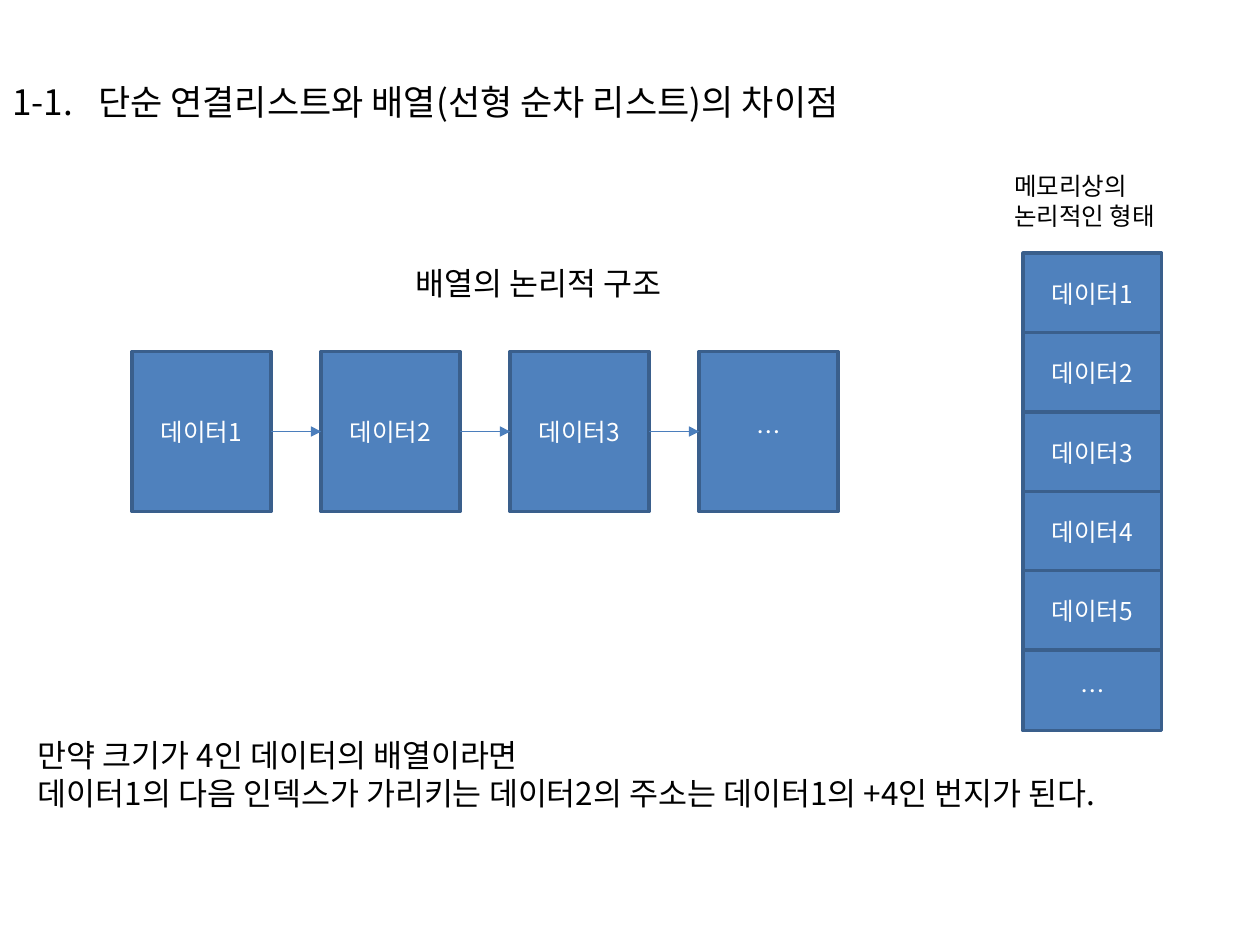
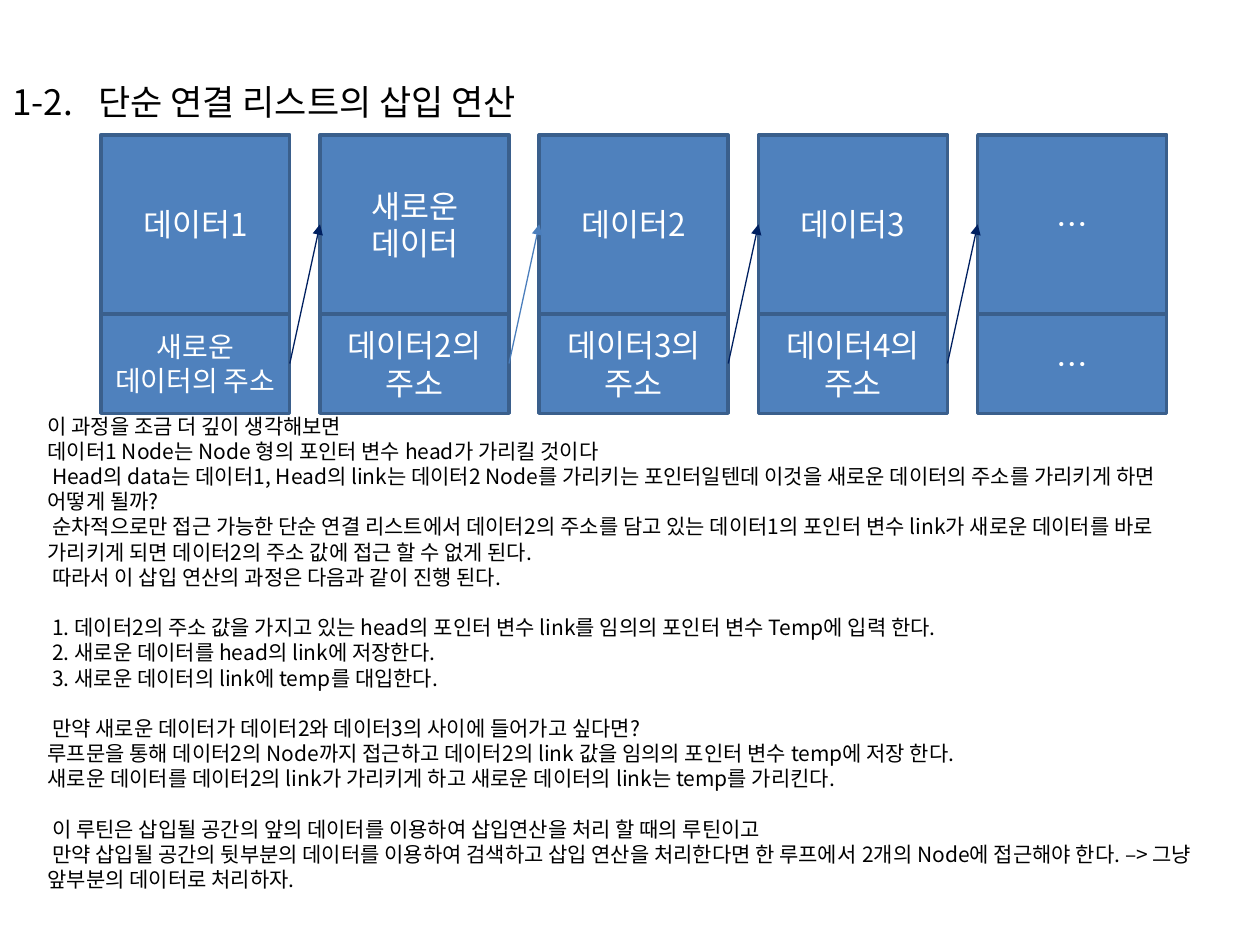
from lxml.etree import SubElement
from pptx import Presentation
from pptx.dml.color import RGBColor
from pptx.enum.shapes import MSO_CONNECTOR, MSO_SHAPE
from pptx.enum.text import MSO_ANCHOR, MSO_AUTO_SIZE, PP_ALIGN
from pptx.oxml.ns import qn
from pptx.util import Inches, Pt

FONT = "Noto Sans CJK KR"
BLACK, WHITE = "000000", "FFFFFF"
BLOCK_FILL, BLOCK_EDGE = "4F81BD", "3A5F8C"
BLUE, NAVY = "4B7EBC", "002060"
RIGHT_SIDE, LEFT_SIDE = 3, 1
hex_color = RGBColor.from_string

deck = Presentation()
deck.slide_width, deck.slide_height = Inches(10), Inches(7.5)


def add_text(slide, place, lines, size, block=False, wrap=True):
    """Write lines in a bare box or in a filled block; lines after a "" get a gap."""
    place = [Inches(length) for length in place]
    if block:
        holder = slide.shapes.add_shape(MSO_SHAPE.RECTANGLE, *place)
        holder.shadow.inherit = False
        holder.fill.solid()
        holder.fill.fore_color.rgb = hex_color(BLOCK_FILL)
        holder.line.color.rgb = hex_color(BLOCK_EDGE)
        holder.line.width = Pt(2)
    else:
        holder = slide.shapes.add_textbox(*place)
    frame = holder.text_frame
    frame.word_wrap = wrap
    if not wrap:
        frame.auto_size = MSO_AUTO_SIZE.SHAPE_TO_FIT_TEXT
    frame.vertical_anchor = MSO_ANCHOR.MIDDLE if block else MSO_ANCHOR.TOP

    lines = lines.split("\n")
    frame.text = "\n".join(line for line in lines if line)
    gaps = [before == "" for before, line in zip([None] + lines, lines) if line]
    for paragraph, gap in zip(frame.paragraphs, gaps):
        paragraph.alignment = PP_ALIGN.CENTER if block else PP_ALIGN.LEFT
        if gap:
            paragraph.space_before = Pt(size * 1.2)
        paragraph.font.size = Pt(size)
        paragraph.font.name = FONT
        paragraph.font.color.rgb = hex_color(WHITE if block else BLACK)
        font_properties = paragraph._p.pPr.find(qn("a:defRPr"))
        SubElement(font_properties, qn("a:ea"), typeface=FONT)
    return holder


def add_arrow(slide, source, target, color):
    """Point from the right side of one block to the left side of another."""
    arrow = slide.shapes.add_connector(MSO_CONNECTOR.STRAIGHT, 0, 0, 0, 0)
    arrow.begin_connect(source, RIGHT_SIDE)
    arrow.end_connect(target, LEFT_SIDE)
    arrow.line.color.rgb = hex_color(color)
    arrow.line.width = Pt(0.75)
    SubElement(arrow.line._get_or_add_ln(), qn("a:tailEnd"), type="triangle")
    SubElement(arrow._element.spPr, qn("a:effectLst"))


# Both slides: blank layout with a numbered title on a hanging indent
slides = []
for title in ("1-1.\t단순 연결리스트와 배열(선형 순차 리스트)의 차이점",
              "1-2.\t단순 연결 리스트의 삽입 연산"):
    slide = deck.slides.add_slide(deck.slide_layouts[6])
    heading = add_text(slide, (0, 0, 10, 1.61), title, 20).text_frame
    heading.vertical_anchor = MSO_ANCHOR.MIDDLE
    hanging = heading.paragraphs[0]._p.pPr
    hanging.set("marL", str(Inches(0.68)))
    hanging.set("indent", str(-Inches(0.68)))
    slides.append(slide)
array_slide, insert_slide = slides

# Array: logical structure, left to right
add_text(array_slide, (3.2, 2.05, 2.4, 0.4), "배열의 논리적 구조", 18, wrap=False)
elements = [add_text(array_slide, (1.05 + 1.5 * column, 2.79, 1.1, 1.27), label, 14, block=True)
            for column, label in enumerate(("데이터1", "데이터2", "데이터3", "…"))]
for element, following in zip(elements, elements[1:]):
    add_arrow(array_slide, element, following, BLUE)

# Array: layout in memory, top to bottom
add_text(array_slide, (7.95, 1.31, 1.45, 0.57), "메모리상의\n논리적인 형태", 14, wrap=False)
for row, label in enumerate(("데이터1", "데이터2", "데이터3", "데이터4", "데이터5", "…")):
    add_text(array_slide, (8.12, 2.01 + 0.63 * row, 1.1, 0.64), label, 14, block=True)

add_text(array_slide, (0.2, 5.79, 9.62, 1.01),
         "만약 크기가 4인 데이터의 배열이라면\n"
         "데이터1의 다음 인덱스가 가리키는 데이터2의 주소는 데이터1의 +4인 번지가 된다.",
         18, wrap=False)

# Linked list: each node is a data cell above an address cell
nodes = (
    ("데이터1", "새로운 데이터의 주소", 16),
    ("새로운\n데이터", "데이터2의\n주소", 18),
    ("데이터2", "데이터3의 주소", 18),
    ("데이터3", "데이터4의 주소", 18),
    ("…", "…", 18),
)
data_cells, address_cells = [], []
for column, (data, address, address_size) in enumerate(nodes):
    left = 0.8 + 1.74 * column
    data_cells.append(add_text(insert_slide, (left, 1.07, 1.5, 1.42), data, 18, block=True))
    address_cells.append(
        add_text(insert_slide, (left, 2.49, 1.5, 0.79), address, address_size, block=True))
for address_cell, next_data, color in zip(address_cells, data_cells[1:], (NAVY, BLUE, NAVY, NAVY)):
    add_arrow(insert_slide, address_cell, next_data, color)

# Linked list: explanation of the insertion
explanation = """이 과정을 조금 더 깊이 생각해보면
데이터1 Node는 Node 형의 포인터 변수 head가 가리킬 것이다
 Head의 data는 데이터1, Head의 link는 데이터2 Node를 가리키는 포인터일텐데 이것을 새로운 데이터의 주소를 가리키게 하면 어떻게 될까?
 순차적으로만 접근 가능한 단순 연결 리스트에서 데이터2의 주소를 담고 있는 데이터1의 포인터 변수 link가 새로운 데이터를 바로 가리키게 되면 데이터2의 주소 값에 접근 할 수 없게 된다.
 따라서 이 삽입 연산의 과정은 다음과 같이 진행 된다.

 1. 데이터2의 주소 값을 가지고 있는 head의 포인터 변수 link를 임의의 포인터 변수 Temp에 입력 한다.
 2. 새로운 데이터를 head의 link에 저장한다.
 3. 새로운 데이터의 link에 temp를 대입한다.

 만약 새로운 데이터가 데이터2와 데이터3의 사이에 들어가고 싶다면?
루프문을 통해 데이터2의 Node까지 접근하고 데이터2의 link 값을 임의의 포인터 변수 temp에 저장 한다.
새로운 데이터를 데이터2의 link가 가리키게 하고 새로운 데이터의 link는 temp를 가리킨다.

 이 루틴은 삽입될 공간의 앞의 데이터를 이용하여 삽입연산을 처리 할 때의 루틴이고
 만약 삽입될 공간의 뒷부분의 데이터를 이용하여 검색하고 삽입 연산을 처리한다면 한 루프에서 2개의 Node에 접근해야 한다. –> 그냥 앞부분의 데이터로 처리하자."""
add_text(insert_slide, (0.28, 3.23, 9.45, 4.14), explanation, 12)

deck.save("out.pptx")
